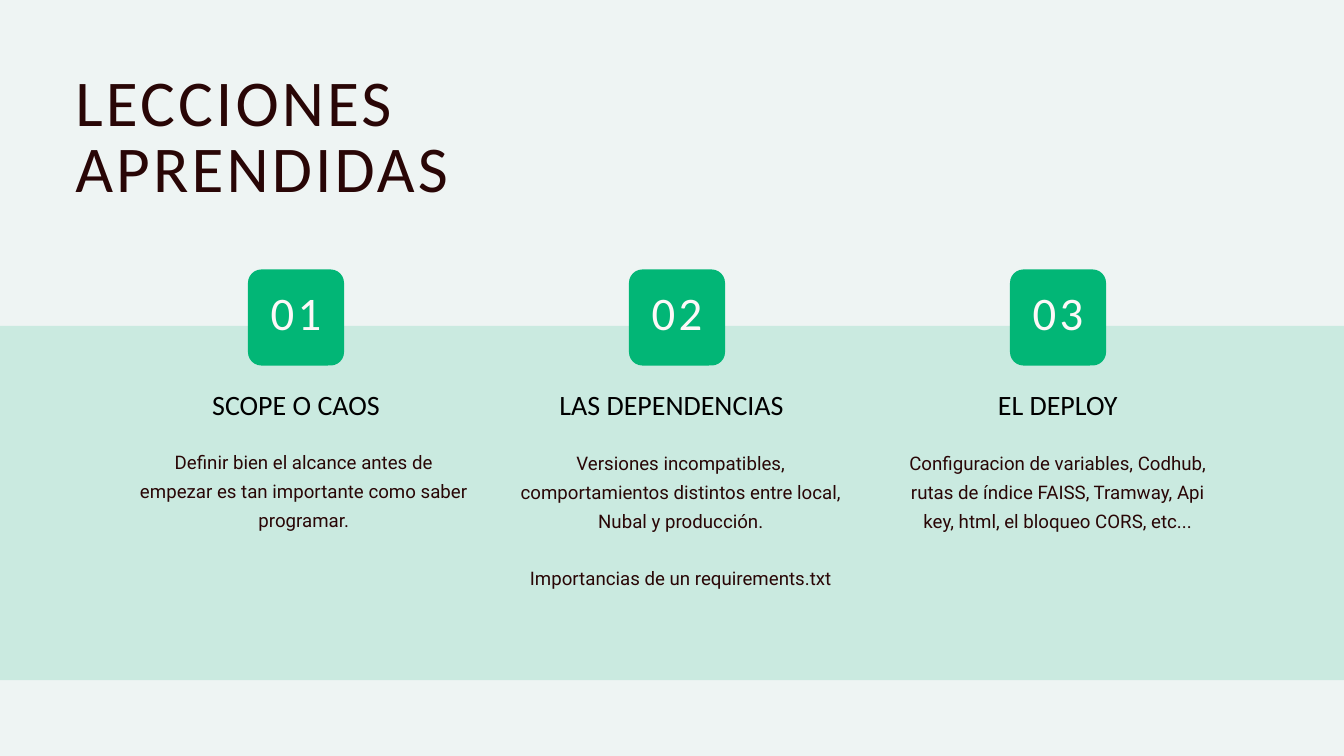
from lxml.etree import SubElement
from pptx import Presentation
from pptx.dml.color import RGBColor
from pptx.enum.shapes import MSO_SHAPE as Shape
from pptx.enum.text import MSO_ANCHOR as Anchor, PP_ALIGN as Align
from pptx.oxml.ns import qn
from pptx.util import Inches, Pt

PALE = RGBColor(0xEE, 0xF4, 0xF3)
GREEN = RGBColor(0x02, 0xB6, 0x76)
DARK = RGBColor(0x29, 0x06, 0x06)
WHITE = RGBColor(0xFD, 0xF8, 0xF8)
BLACK = RGBColor(0, 0, 0)

TITLE = "LECCIONES APRENDIDAS"
LESSONS = [
    ("SCOPE O CAOS", 2.62, 3.57, 6.62, 1.29,
     ["Definir bien el alcance antes de empezar es tan importante como saber programar."]),
    ("LAS DEPENDENCIAS", 8.21, 3.57, 6.63, 2.15,
     ["Versiones incompatibles, comportamientos distintos entre local, Nubal y producción.",
      "Importancias de un requirements.txt"]),
    ("EL DEPLOY", 13.71, 4.06, 6.63, 1.29,
     ["Configuracion de variables, Codhub, rutas de índice FAISS, Tramway, Api key, "
      "html, el bloqueo CORS, etc..."]),
]
BADGE_X, BADGE_Y, BADGE, BADGE_STEP = 3.69, 4.01, 1.43, 5.67
BODY_X, BODY_W, BODY_STEP = 2.08, 4.88, 5.61


def write(shape, lines, size, line, color, font="Calibri", align=Align.CENTER,
          anchor=Anchor.TOP, track=0, gap=0, pad=(0, 0, 0, 0)):
    frame = shape.text_frame
    frame.word_wrap = True
    frame.vertical_anchor = anchor
    (frame.margin_left, frame.margin_top,
     frame.margin_right, frame.margin_bottom) = map(Inches, pad)
    for i, text in enumerate(lines):
        para = frame.add_paragraph() if i else frame.paragraphs[0]
        para.alignment = align
        para.line_spacing = Pt(line)
        if i:
            para.space_before = Pt(gap)
        run = para.add_run()
        run.text = text
        run.font.size = Pt(size)
        run.font.name = font
        run.font.color.rgb = color
        if track:
            run.font._element.set("spc", str(round(track * 100)))


def block(kind, *box):
    shape = slide.shapes.add_shape(kind, *map(Inches, box))
    shape.shadow.inherit = False
    shape.fill.solid()
    shape.fill.fore_color.rgb = GREEN
    shape.line.fill.background()
    return shape


def label(*box):
    return slide.shapes.add_textbox(*map(Inches, box))


deck = Presentation()
deck.slide_width, deck.slide_height = Inches(20), Inches(11.25)
slide = deck.slides.add_slide(deck.slide_layouts[6])
slide.background.fill.solid()
slide.background.fill.fore_color.rgb = PALE

band = block(Shape.RECTANGLE, -0.43, 4.85, 20.85, 5.27)
tint = band._element.spPr.find(qn("a:solidFill"))[0]
SubElement(tint, qn("a:alpha"), val="15000")

write(label(1.12, 1.11, 8.88, 1.17), [TITLE], 70, 70, DARK, align=Align.LEFT, track=3.4)

for i, (head, left, width, top, height, body) in enumerate(LESSONS):
    badge = block(Shape.ROUNDED_RECTANGLE, BADGE_X + i * BADGE_STEP, BADGE_Y, BADGE, BADGE)
    badge.adjustments[0] = 0.14
    write(badge, [f"{i + 1:02}"], 50, 51.5, WHITE, anchor=Anchor.MIDDLE, track=3.5,
          pad=(0.06, 0.06, 0.06, 0.11))
    write(label(left, 5.69, width, 0.65), [head], 30, 42, BLACK)
    write(label(BODY_X + i * BODY_STEP, top, BODY_W, height), body, 20, 30.8, DARK,
          font="Roboto", gap=30.8)

deck.save("out.pptx")
